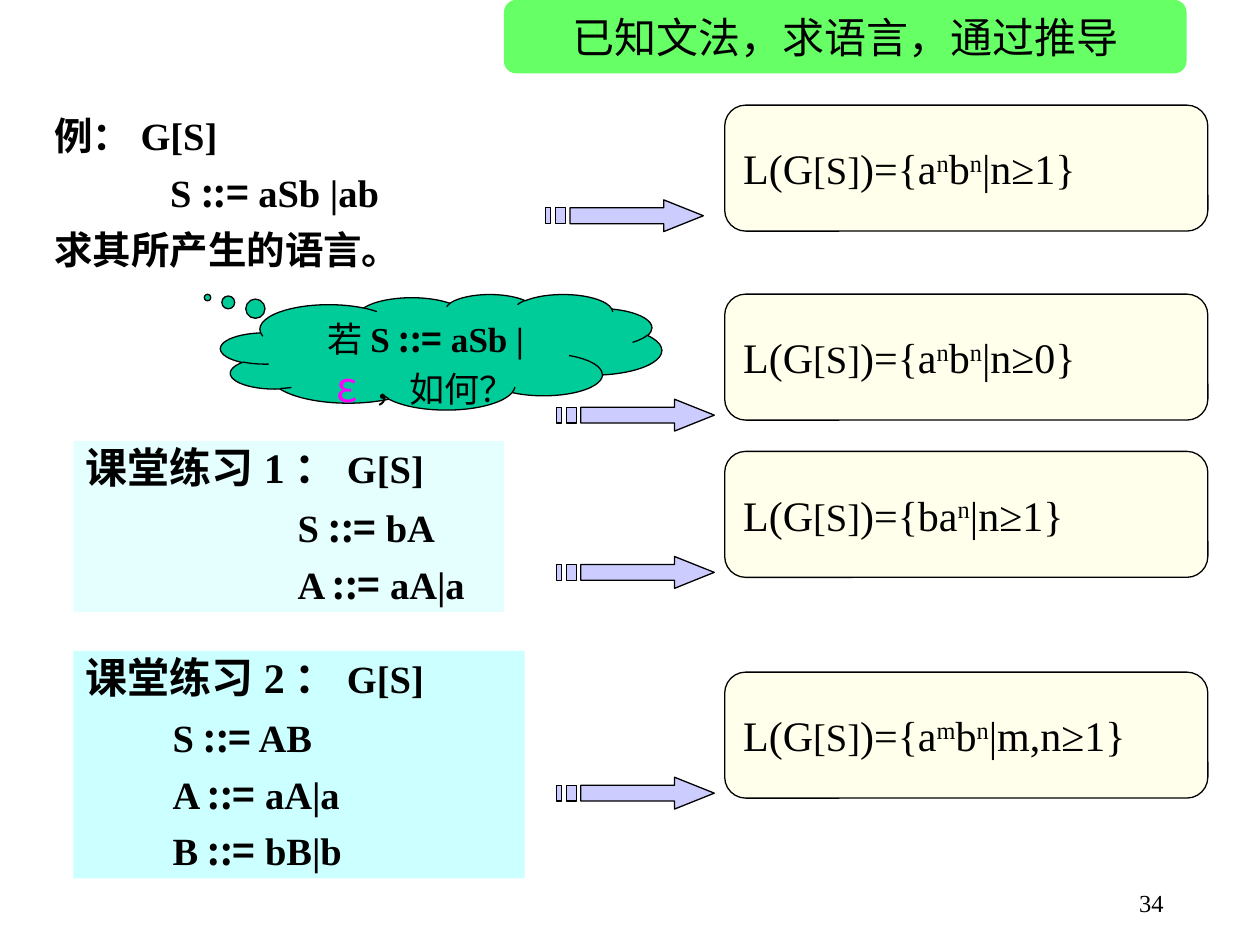
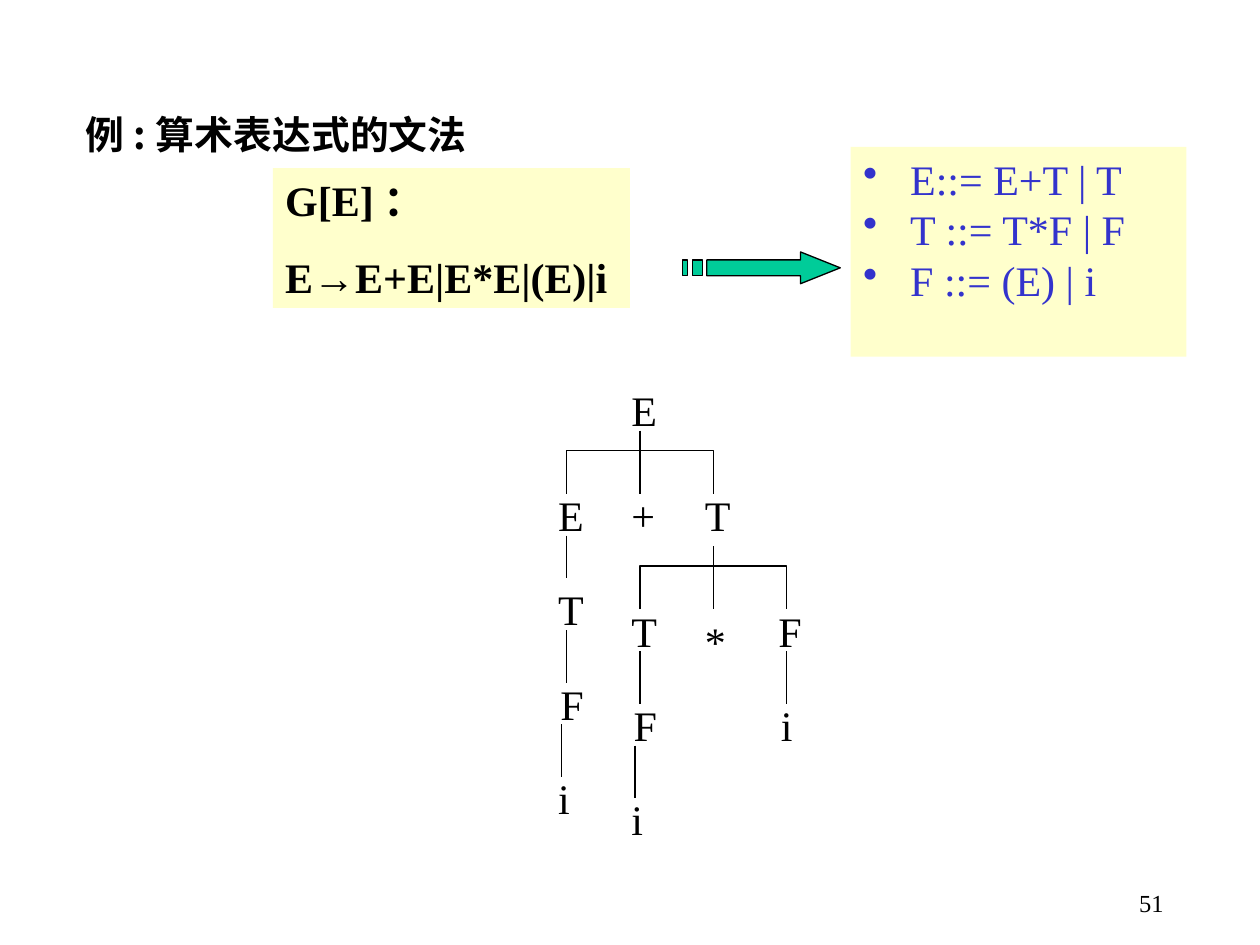
import dataclasses

import lxml.etree
import pptx
import pptx.dml.color
import pptx.enum.shapes
import pptx.enum.text
import pptx.oxml.ns
import pptx.util

Cm = pptx.util.Cm
Pt = pptx.util.Pt
SHAPE = pptx.enum.shapes.MSO_SHAPE
ALIGN = pptx.enum.text.PP_ALIGN
ANCHOR = pptx.enum.text.MSO_ANCHOR
qn = pptx.oxml.ns.qn


@dataclasses.dataclass(frozen=True)
class Theme:
    """Colours, fonts and type sizes of the course."""

    ink: str = "000000"
    banner: str = "66FF66"
    answer: str = "FFFFEB"
    arrow: str = "CCCCFF"
    thought: str = "00CC99"
    exercise: str = "CCFFFF"
    grammar: str = "FFFFCC"
    rules: str = "3333CC"
    epsilon: str = "FF00FF"
    serif: str = "Times New Roman"
    sans: str = "Noto Sans CJK SC"
    large: float = 24
    heading: float = 22.2
    body: float = 22
    thought_size: float = 20
    footer: float = 14
    outline: float = 0.75


THEME = Theme()
BASE = {"size": THEME.large, "name": THEME.serif, "color": THEME.ink, "bold": False}
BODY = {"size": THEME.body, "bold": True}
NODE_WIDTH, CENTRED_WIDTH, LEAF_WIDTH, NODE_HEIGHT = 0.84, 1.06, 0.64, 1.27
COLUMN_STEP, LEVEL_STEP = 1.48, 1.9


def rgb(value):
    """Turn a hex string into a colour."""
    return pptx.dml.color.RGBColor.from_string(value)


def apply(target, formats):
    """Set each format value as an attribute of the target."""
    for key, value in formats.items():
        setattr(target, key, value)


def style(shape, fill=None, line=None, alpha=None):
    """Give a shape its fill and outline and take off its shadow."""
    shape.shadow.inherit = False
    if fill:
        shape.fill.solid()
        shape.fill.fore_color.rgb = rgb(fill)
    else:
        shape.fill.background()
    if alpha:
        colour = shape._element.spPr.find(qn("a:solidFill"))[0]
        lxml.etree.SubElement(colour, qn("a:alpha")).set("val", str(alpha * 1000))
    if line:
        shape.line.color.rgb = rgb(line)
        shape.line.width = Pt(THEME.outline)
    else:
        shape.line.fill.background()


def add_run(paragraph, text, formats):
    """Add one run with the base format and its own changes."""
    values = {**BASE, **formats}
    colour, baseline = values.pop("color"), values.pop("baseline", 0)
    values["size"] = Pt(values["size"])
    run = paragraph.add_run()
    run.text = text
    apply(run.font, values)
    run.font.color.rgb = rgb(colour)
    properties = run._r.get_or_add_rPr()
    lxml.etree.SubElement(properties, qn("a:ea")).set("typeface", THEME.sans)
    if baseline:
        properties.set("baseline", str(baseline * 1000))


def write(shape, paragraphs, anchor=ANCHOR.TOP):
    """Fill a shape with (runs, layout) paragraphs."""
    frame = shape.text_frame
    apply(frame, {
        "word_wrap": True, "vertical_anchor": anchor,
        "margin_left": Cm(0.25), "margin_right": Cm(0.25),
        "margin_top": Cm(0.13), "margin_bottom": Cm(0.13),
    })
    for index, (runs, layout) in enumerate(paragraphs):
        paragraph = frame.add_paragraph() if index else frame.paragraphs[0]
        formats = {"alignment": ALIGN.LEFT, **layout}
        left, hang = formats.pop("left", 0), formats.pop("hang", 0)
        bullet = formats.pop("bullet", None)
        apply(paragraph, formats)
        properties = paragraph._p.get_or_add_pPr()
        properties.set("marL", str(Cm(left)))
        properties.set("indent", str(-Cm(hang)))
        if bullet:
            colour = lxml.etree.SubElement(properties, qn("a:buClr"))
            lxml.etree.SubElement(colour, qn("a:srgbClr")).set("val", THEME.rules)
            lxml.etree.SubElement(properties, qn("a:buChar")).set("char", bullet)
        for text, changes in runs:
            add_run(paragraph, text, changes)


def add_text(slide, box, paragraphs, anchor=ANCHOR.TOP):
    """Add a plain text box."""
    write(slide.shapes.add_textbox(*map(Cm, box)), paragraphs, anchor)


def add_panel(slide, kind, box, paragraphs, fill, line=None, alpha=None, anchor=ANCHOR.TOP):
    """Add a filled preset shape that carries text."""
    panel = slide.shapes.add_shape(kind, *map(Cm, box))
    style(panel, fill, line, alpha)
    write(panel, paragraphs, anchor)
    return panel


def add_outline(slide, contours, closed, fill=None):
    """Draw one freeform from a list of contours."""
    points = [[(Cm(x), Cm(y)) for x, y in contour] for contour in contours]
    builder = slide.shapes.build_freeform(*points[0][0], scale=1.0)
    for index, (start, *rest) in enumerate(points):
        if index:
            builder.move_to(*start)
        builder.add_line_segments(rest, close=closed)
    style(builder.convert_to_shape(), fill, THEME.ink)


def add_striped_arrow(slide, left, top, fill):
    """Draw an arrow with two stripes at its tail."""
    width, height, neck = 3.18, 0.64, 2.38
    upper, lower = top + height / 4, top + height * 3 / 4
    head = [(neck, top), (neck, upper), (0.49, upper), (0.49, lower),
            (neck, lower), (neck, top + height), (width, top + height / 2)]
    stripes = [[(a, upper), (a, lower), (b, lower), (b, upper)]
               for a, b in ((0.2, 0.4), (0, 0.1))]
    contours = [[(left + x, y) for x, y in contour] for contour in (head, *stripes)]
    add_outline(slide, contours, True, fill)


def add_stem(slide, x, top, length):
    """Draw an upright line of the tree."""
    stem = slide.shapes.add_connector(
        pptx.enum.shapes.MSO_CONNECTOR.STRAIGHT, *map(Cm, (x, top, x, top + length)))
    stem.line.color.rgb = rgb(THEME.ink)
    stem.line.width = Pt(THEME.outline)
    lxml.etree.SubElement(stem._element.spPr, qn("a:effectLst"))


def add_page_number(slide, number):
    """Write the page number at the lower right."""
    add_text(slide, (18.42, 17.78, 5.29, 1.27),
             [([(number, {"size": THEME.footer})], {"alignment": ALIGN.RIGHT})])


def production(symbol, body, left):
    """Describe one indented grammar rule."""
    runs = [(symbol + " ", BODY), ("::=", {**BODY, "name": THEME.sans}), (" " + body, BODY)]
    return runs, {"left": left, "line_spacing": 0.7, "space_before": Pt(13.8)}


def add_exercise(slide, box, number, productions, left, alpha=None):
    """Add a classroom exercise with its grammar."""
    title = [(f"课堂练习{number}：", {"bold": True}), ("G[S]", BODY)]
    add_panel(slide, SHAPE.RECTANGLE, box,
              [(title, {"line_spacing": 0.9})] + [production(*rule, left) for rule in productions],
              THEME.exercise, alpha=alpha)


def add_answer(slide, top, powers, condition, arrow_left=11.22, arrow_drop=2.12):
    """Add a language box and the arrow that leads to it."""
    runs = [("L(G", {}), ("[S]", {"size": THEME.body}), (")={", {})]
    for base, exponent in powers:
        runs += [(base, {}), (exponent, {"baseline": 30})]
    runs.append((f"|{condition}}}", {}))
    add_panel(slide, SHAPE.FLOWCHART_ALTERNATE_PROCESS, (14.61, top, 9.74, 2.54),
              [(runs, {})], THEME.answer, THEME.ink, anchor=ANCHOR.MIDDLE)
    add_striped_arrow(slide, arrow_left, top + arrow_drop, THEME.arrow)


def add_thought(slide, box):
    """Add the cloud that asks about the empty string."""
    small = {"size": THEME.thought_size}
    bold = {**small, "bold": True}
    runs = [("若", small), ("S ", bold), ("::=", {**bold, "name": THEME.sans}), (" aSb | ", bold),
            ("ε", {"name": THEME.sans, "color": THEME.epsilon}), (" ，如何？", small)]
    cloud = add_panel(slide, SHAPE.CLOUD_CALLOUT, box, [(runs, {"alignment": ALIGN.CENTER})],
                      THEME.thought, THEME.ink)
    for index, value in enumerate((-0.53, -0.47)):
        cloud.adjustments[index] = value


def build_languages(slide):
    """Build the slide that derives languages from grammars."""
    request = [("求其所产生的语言。", BODY)], {"line_spacing": 0.7, "space_before": Pt(13.8)}
    add_text(slide, (0.85, 2.12, 10.16, 3.45),
             [([("例：G[S]", BODY)], {}), production("S", "aSb |ab", 2.33), request])
    add_thought(slide, (4.45, 5.93, 8.89, 2.33))
    add_panel(slide, SHAPE.ROUNDED_RECTANGLE, (10.16, 0, 13.76, 1.48),
              [([("已知文法，求语言，通过推导", {})], {"alignment": ALIGN.CENTER})],
              THEME.banner, anchor=ANCHOR.MIDDLE)
    add_exercise(slide, (1.48, 8.89, 8.68, 3.45), 1, [("S", "bA"), ("A", "aA|a")], 4.27, 50)
    add_exercise(slide, (1.48, 13.12, 9.1, 4.59), 2,
                 [("S", "AB"), ("A", "aA|a"), ("B", "bB|b")], 1.75)
    add_answer(slide, 2.12, [("a", "n"), ("b", "n")], "n≥1", 11, 1.91)
    add_answer(slide, 5.93, [("a", "n"), ("b", "n")], "n≥0")
    add_answer(slide, 9.1, [("ba", "n")], "n≥1")
    add_answer(slide, 13.55, [("a", "m"), ("b", "n")], "m,n≥1")
    add_page_number(slide, "34")


def add_node(slide, symbol, left, top, width=NODE_WIDTH):
    """Write one symbol of the tree."""
    centred = symbol == "i" or width == CENTRED_WIDTH
    add_text(slide, (left, top, width, NODE_HEIGHT),
             [([(symbol, {})], {"alignment": ALIGN.CENTER if centred else ALIGN.LEFT})])


def add_chain(slide, left, top, nodes):
    """Write symbols one below the other, joined by stems."""
    for depth, (symbol, width) in enumerate(nodes):
        level = top + depth * LEVEL_STEP
        add_node(slide, symbol, left, level, width)
        if depth < len(nodes) - 1:
            offset = 0.32 if width == CENTRED_WIDTH else 0.42
            add_stem(slide, left + offset, level + 1.06, 0.85 if symbol == "E" else 1.06)


def add_branch(slide, x, top):
    """Draw a stem that forks to three children."""
    add_stem(slide, x, top, 1.27)
    bar, end = top + 0.4, top + 1.27
    start, stop = x - COLUMN_STEP, x + COLUMN_STEP
    add_outline(slide, [[(start, end), (start, bar), (stop, bar), (stop, end)]], False)


def add_syntax_tree(slide, left, top):
    """Build the syntax tree from its upper left corner."""
    columns = [left + index * COLUMN_STEP for index in range(4)]
    add_node(slide, "E", columns[1], top)
    for symbol, column, drop in (("+", 1, 2.12), ("T", 2, 2.12), ("*", 2, 4.66)):
        add_node(slide, symbol, columns[column], top + drop)
    add_branch(slide, columns[1] + 0.42, top + 1.06)
    add_branch(slide, columns[2] + 0.42, top + 3.39)
    tail = [("T", NODE_WIDTH), ("F", CENTRED_WIDTH), ("i", LEAF_WIDTH)]
    add_chain(slide, columns[0], top + 2.12, [("E", NODE_WIDTH)] + tail)
    add_chain(slide, columns[1], top + 4.45, tail)
    add_chain(slide, columns[3], top + 4.45, [("F", NODE_WIDTH), ("i", NODE_WIDTH)])


def build_expressions(slide):
    """Build the slide on the grammar of arithmetic expressions."""
    add_syntax_tree(slide, 11, 7.62)
    heading = {"size": THEME.heading, "name": THEME.sans, "bold": True}
    add_text(slide, (1.48, 2.12, 8.89, 1.27),
             [([("例:算术表达式的文法", heading)], {"line_spacing": 0.9})], ANCHOR.MIDDLE)
    bullets = {"left": 0.95, "hang": 0.95, "bullet": "•"}
    rules = ("E::= E+T | T", "T ::= T*F | F", "F ::= (E) | i")
    add_panel(slide, SHAPE.RECTANGLE, (17.15, 2.96, 6.77, 4.23),
              [([(rule, {"color": THEME.rules})], bullets) for rule in rules], THEME.grammar)
    add_striped_arrow(slide, 13.76, 5.08, THEME.thought)
    bold = {"bold": True}
    add_panel(slide, SHAPE.RECTANGLE, (5.5, 3.39, 7.2, 2.82),
              [([("G[E]：", bold)], {}),
               ([("E→E+E|E*E|(E)|i", bold)], {"space_before": Pt(15)})], THEME.grammar)
    add_page_number(slide, "51")


def main():
    """Build and save both slides."""
    deck = pptx.Presentation()
    apply(deck, {"slide_width": Cm(25.4), "slide_height": Cm(19.05)})
    for build in (build_languages, build_expressions):
        build(deck.slides.add_slide(deck.slide_layouts[6]))
    deck.save("out.pptx")


if __name__ == "__main__":
    main()
